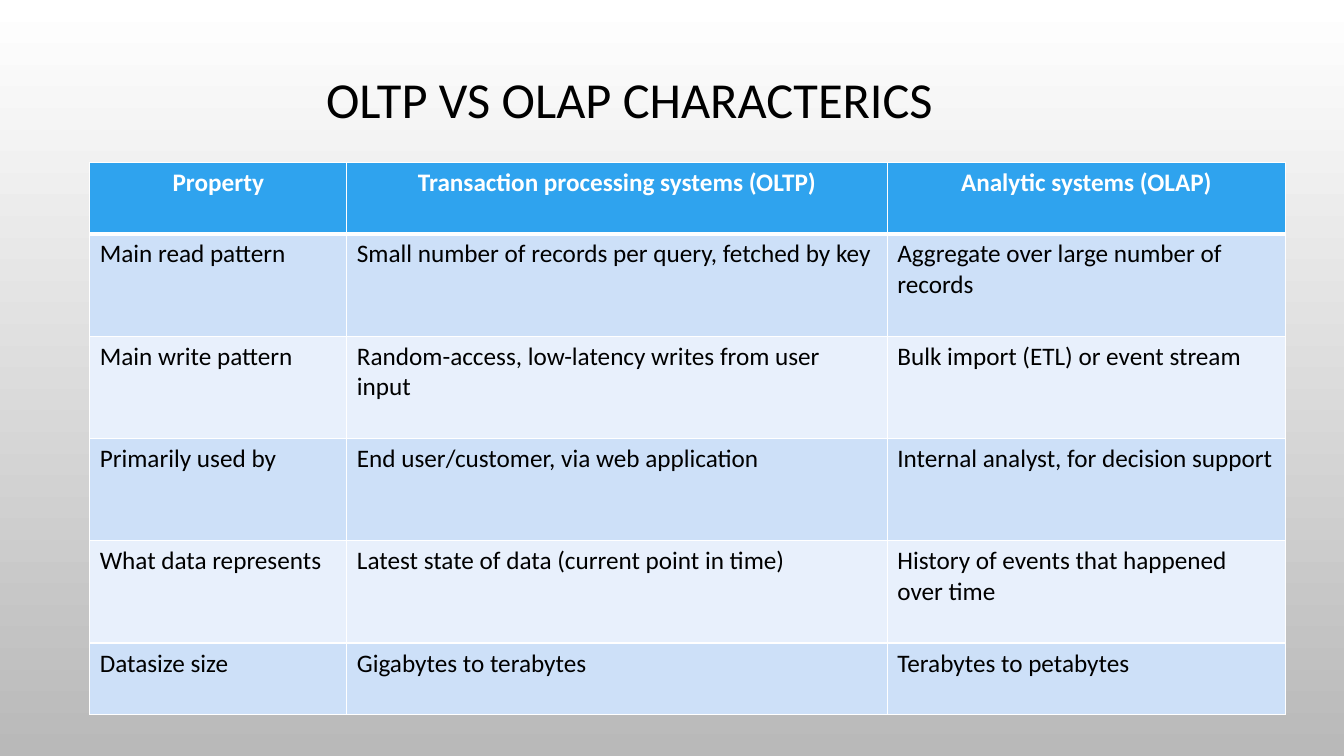
"""Build a slide with a table comparing OLTP and OLAP systems."""
from dataclasses import dataclass

from lxml import etree
from pptx import Presentation
from pptx.dml.color import RGBColor
from pptx.enum import text
from pptx.oxml import ns
from pptx.util import Inches, Pt


@dataclass(frozen=True)
class Theme:
    font: str = "Calibri"
    title_size: int = 36
    table_size: int = 18
    ink: str = "000000"
    white: str = "FFFFFF"
    background_end: str = "B9B9B9"
    header: str = "2FA3EE"
    bands: tuple = ("CDE0F8", "E8F0FC")


theme = Theme()


def add_run(paragraph, wording, size, color, bold=False):
    run = paragraph.add_run()
    run.text = wording
    run.font.name = theme.font
    run.font.size = Pt(size)
    run.font.bold = bold
    run.font.color.rgb = RGBColor.from_string(color)


def add_border(cell, side, width):
    properties = cell._tc.get_or_add_tcPr()
    line = etree.SubElement(properties, ns.qn(f"a:ln{side}"), w=str(Pt(width)))
    fill = etree.SubElement(line, ns.qn("a:solidFill"))
    etree.SubElement(fill, ns.qn("a:srgbClr"), val=theme.white)


presentation = Presentation()
presentation.slide_width = Inches(13.33)
presentation.slide_height = Inches(7.5)
slide = presentation.slides.add_slide(presentation.slide_layouts[6])

background = slide.background.fill
background.gradient()
background.gradient_angle = 270
for stop, color, position in zip(background.gradient_stops, (theme.white, theme.background_end), (0, 1)):
    stop.color.rgb = RGBColor.from_string(color)
    stop.position = position

title = slide.shapes.add_textbox(Inches(0.58), Inches(0.42), Inches(11.33), Inches(1.19))
title.text_frame.word_wrap = True
title.text_frame.vertical_anchor = text.MSO_ANCHOR.MIDDLE
title_paragraph = title.text_frame.paragraphs[0]
title_paragraph.alignment = text.PP_ALIGN.CENTER
title_paragraph.line_spacing = 0.9
add_run(title_paragraph, "OLTP VS OLAP CHARACTERICS", theme.title_size, theme.ink)

rows = [
    ("Property", "Transaction processing systems (OLTP)", "Analytic systems (OLAP)"),
    ("Main read pattern", "Small number of records per query, fetched by key",
     "Aggregate over large number of records"),
    ("Main write pattern", "Random-access, low-latency writes from user input",
     "Bulk import (ETL) or event stream"),
    ("Primarily used by", "End user/customer, via web application",
     "Internal analyst, for decision support"),
    ("What data represents", "Latest state of data (current point in time)",
     "History of events that happened over time"),
    ("Datasize size", "Gigabytes to terabytes", "Terabytes to petabytes"),
]
column_widths = (2.55, 5.36, 3.95)
row_heights = (0.71, *[1.015] * 4, 0.71)

table = slide.shapes.add_table(
    len(rows), len(column_widths), Inches(0.89), Inches(1.61),
    Inches(sum(column_widths)), Inches(sum(row_heights))).table
for column, width in zip(table.columns, column_widths):
    column.width = Inches(width)

for row_index, (wordings, height) in enumerate(zip(rows, row_heights)):
    table.rows[row_index].height = Inches(height)
    is_header = row_index == 0
    fill_color = theme.header if is_header else theme.bands[(row_index - 1) % 2]
    border_widths = {"L": 1, "R": 1, "T": 3 if row_index == 1 else 1, "B": 3 if is_header else 1}
    for column_index, wording in enumerate(wordings):
        cell = table.cell(row_index, column_index)
        for side, width in border_widths.items():
            add_border(cell, side, width)
        cell.fill.solid()
        cell.fill.fore_color.rgb = RGBColor.from_string(fill_color)
        paragraph = cell.text_frame.paragraphs[0]
        paragraph.alignment = text.PP_ALIGN.CENTER if is_header else text.PP_ALIGN.LEFT
        add_run(paragraph, wording, theme.table_size, theme.white if is_header else theme.ink, is_header)

presentation.save("out.pptx")
